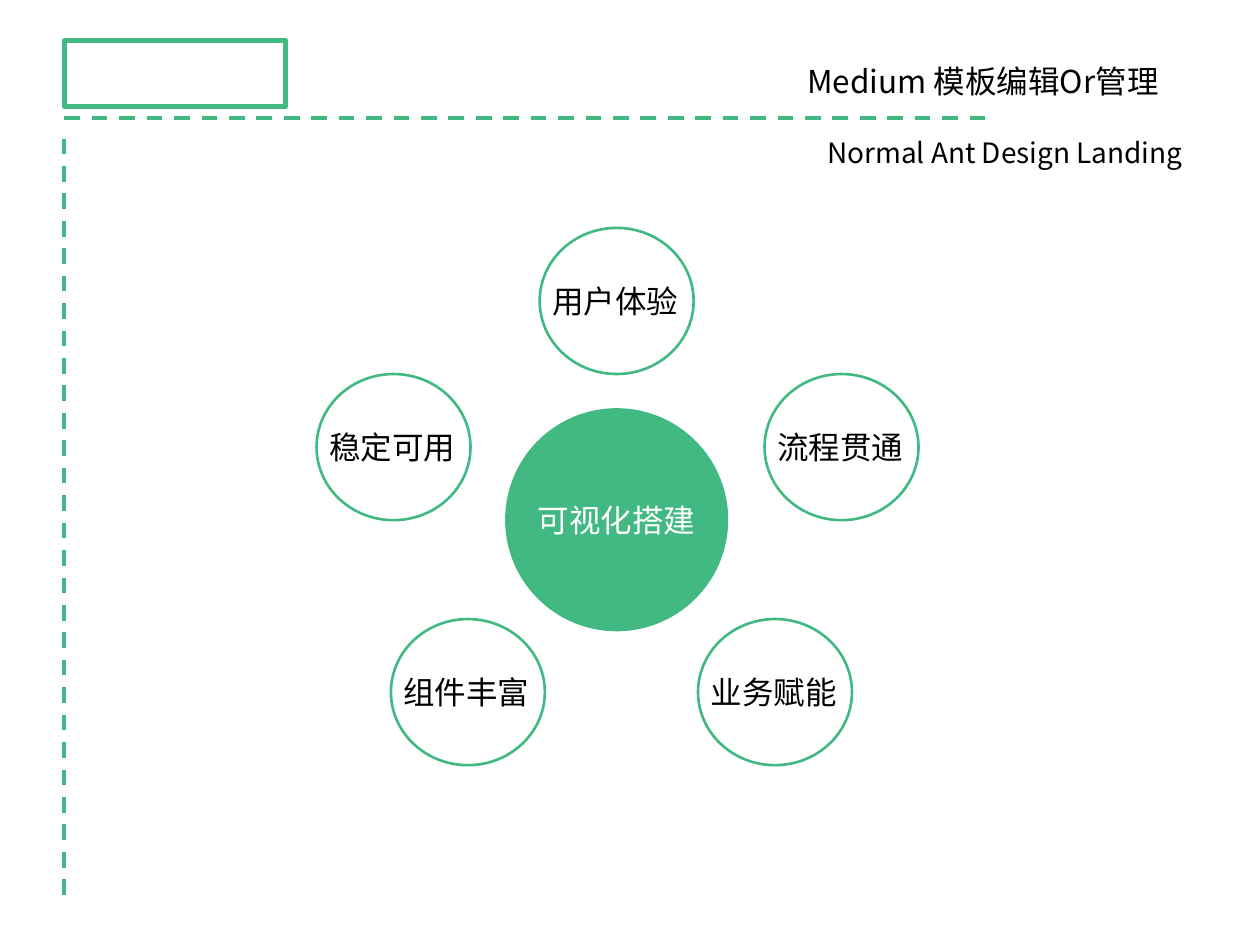
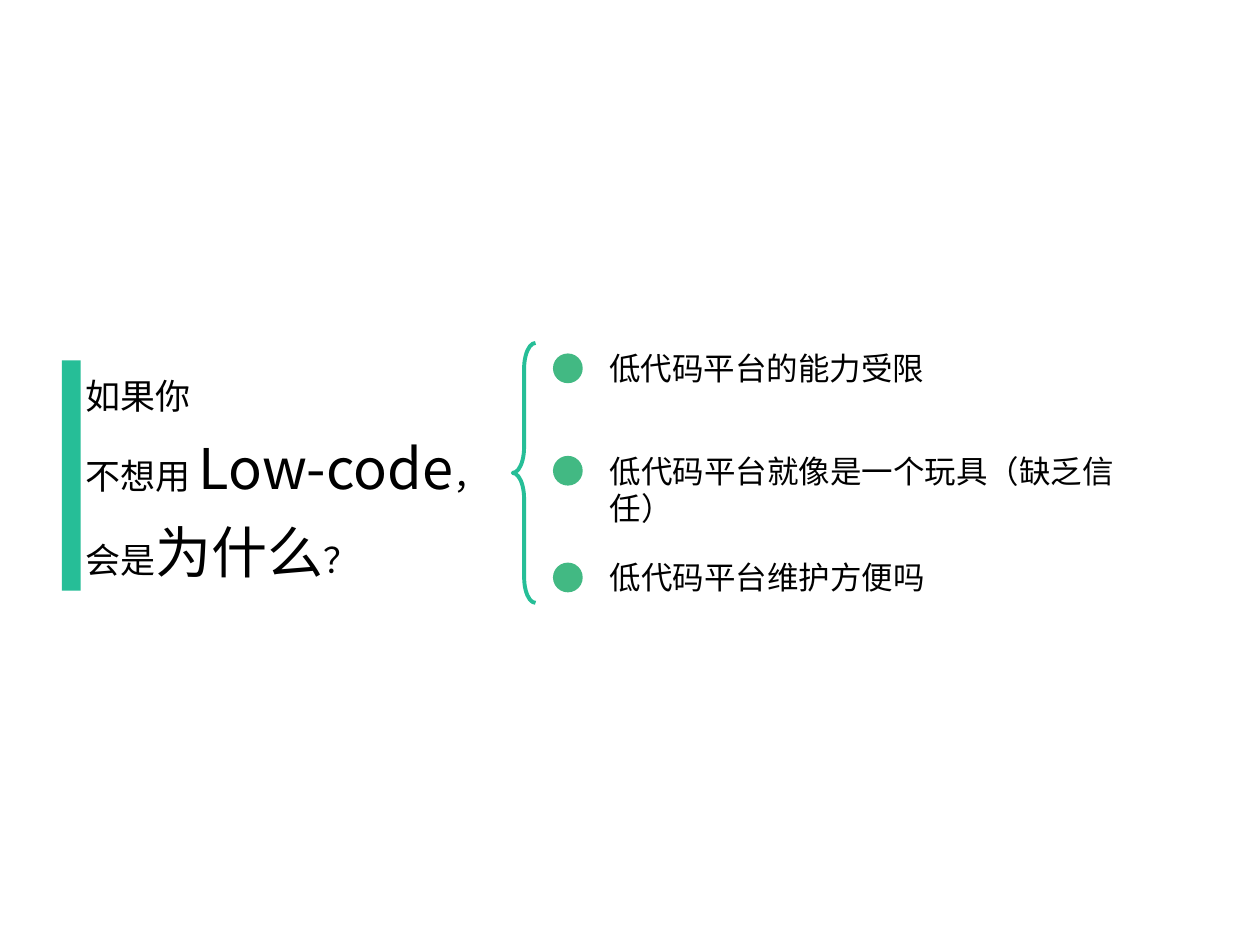
from pptx import Presentation
from pptx import util as u
from pptx.dml.color import RGBColor
from pptx.enum import dml, shapes, text
from pptx.oxml import ns
from lxml import etree

COLORS = {"green": "42B983", "teal": "26BE97", "black": "000000", "white": "FFFFFF"}
FONT = "Noto Sans CJK SC"
INSETS = {"margin_left": u.Pt(7.2), "margin_right": u.Pt(7.2),
          "margin_top": u.Pt(3.6), "margin_bottom": u.Pt(3.6)}
LABEL_HEIGHT = 28.8


def color(name):
    return RGBColor.from_string(COLORS[name])


def set_all(target, values):
    for name, value in values.items():
        setattr(target, name, value)


def points(*lengths):
    return [u.Pt(length) for length in lengths]


def add_outline_shape(slide, kind, box, fill=None, line=None, weight=0):
    shape = slide.shapes.add_shape(kind, *points(*box))
    shape.shadow.inherit = False
    if fill:
        shape.fill.solid()
        shape.fill.fore_color.rgb = color(fill)
    else:
        shape.fill.background()
    if line:
        shape.line.color.rgb = color(line)
        shape.line.width = u.Pt(weight)
    else:
        shape.line.fill.background()
    return shape


def add_dashed_line(slide, start, end):
    connector = slide.shapes.add_connector(
        shapes.MSO_CONNECTOR.STRAIGHT, *points(*start, *end))
    connector.line.color.rgb = color("green")
    set_all(connector.line, {"width": u.Pt(2.25), "dash_style": dml.MSO_LINE.DASH})
    etree.SubElement(connector._element.spPr, ns.qn("a:effectLst"))


def add_text(slide, box, lines, ink="black", wrap=False, spacing=None):
    frame = slide.shapes.add_textbox(*points(*box)).text_frame
    set_all(frame, {**INSETS, "word_wrap": wrap,
                    "auto_size": text.MSO_AUTO_SIZE.SHAPE_TO_FIT_TEXT})
    for index, runs in enumerate(lines):
        paragraph = frame.add_paragraph() if index else frame.paragraphs[0]
        if spacing:
            paragraph.line_spacing = spacing
        for words, size in runs:
            run = paragraph.add_run()
            run.text = words
            set_all(run.font, {"size": u.Pt(size), "name": FONT})
            run.font.color.rgb = color(ink)
            east_asian = etree.SubElement(run.font._element, ns.qn("a:ea"))
            east_asian.set("typeface", FONT)


def add_header(slide, left, top):
    add_outline_shape(slide, shapes.MSO_SHAPE.RECTANGLE, (left, top, 126.5, 37.5),
                      line="green", weight=3)
    add_dashed_line(slide, (left, top + 44.5), (left + 528, top + 44.5))
    add_dashed_line(slide, (left, top + 56), (left, top + 491))
    add_text(slide, (left + 417.5, top + 8.5, 231, LABEL_HEIGHT),
             [[("Medium 模板编辑Or管理", 18)]])
    add_text(slide, (left + 429, top + 51, 222, 26.6),
             [[("Normal Ant Design Landing", 16)]])


def add_circle_label(slide, center, size, words, label_shift=0, ink="black", **style):
    center_x, center_y = center
    width, height = size
    add_outline_shape(slide, shapes.MSO_SHAPE.OVAL,
                      (center_x - width / 2, center_y - height / 2, width, height), **style)
    label_width = 18 * len(words) + 14.4
    add_text(slide, (center_x - label_width / 2 + label_shift,
                     center_y - LABEL_HEIGHT / 2, label_width, LABEL_HEIGHT),
             [[(words, 18)]], ink)


def add_goal_wheel(slide, center_x, center_y):
    add_circle_label(slide, (center_x, center_y), (127.5, 127.5), "可视化搭建",
                     ink="white", fill="green")
    goals = {
        "用户体验": (0, -125),
        "稳定可用": (-127.5, -41.5),
        "组件丰富": (-85, 98.5),
        "业务赋能": (90.5, 98.5),
        "流程贯通": (128.5, -41.5),
    }
    for goal, (offset_x, offset_y) in goals.items():
        add_circle_label(slide, (center_x + offset_x, center_y + offset_y), (88, 83.5),
                         goal, label_shift=-0.7, line="green", weight=1.5)


def add_question(slide, left, top):
    add_text(slide, (left + 6.5, top - 1.5, 255.6, 133),
             [[("如果你", 20)],
              [("不想用 ", 20), ("Low-code", 32), ("，", 20)],
              [("会是", 20), ("为什么", 32), ("？", 20)]],
             wrap=True, spacing=1.25)
    add_outline_shape(slide, shapes.MSO_SHAPE.RECTANGLE, (left, top, 10.8, 131.5),
                      fill="teal")


def add_reasons(slide, left, top):
    brace = add_outline_shape(slide, shapes.MSO_SHAPE.LEFT_BRACE, (left, top, 13, 148.5),
                              line="teal", weight=2.25)
    brace.adjustments[0] = 1.13
    brace.adjustments[1] = 0.5
    reasons = [
        ("低代码平台的能力受限", 0, 200, LABEL_HEIGHT),
        ("低代码平台就像是一个玩具（缺乏信任）", 58.5, 328.5, 50.4),
        ("低代码平台维护方便吗", 119.5, 328.5, LABEL_HEIGHT),
    ]
    for reason, offset, width, height in reasons:
        add_outline_shape(slide, shapes.MSO_SHAPE.OVAL,
                          (left + 23, top + offset + 6, 17, 17), fill="green")
        add_text(slide, (left + 48.2, top + offset, width, height),
                 [[(reason, 18)]], wrap=True)


def main():
    presentation = Presentation()
    set_all(presentation, {"slide_width": u.Pt(720), "slide_height": u.Pt(540)})
    blank = presentation.slide_layouts[6]

    goals_slide = presentation.slides.add_slide(blank)
    add_header(goals_slide, 36.8, 23.2)
    add_goal_wheel(goals_slide, 352.4, 297)

    doubts_slide = presentation.slides.add_slide(blank)
    add_question(doubts_slide, 35.3, 206)
    add_reasons(doubts_slide, 293, 196)

    presentation.save("out.pptx")


if __name__ == "__main__":
    main()
